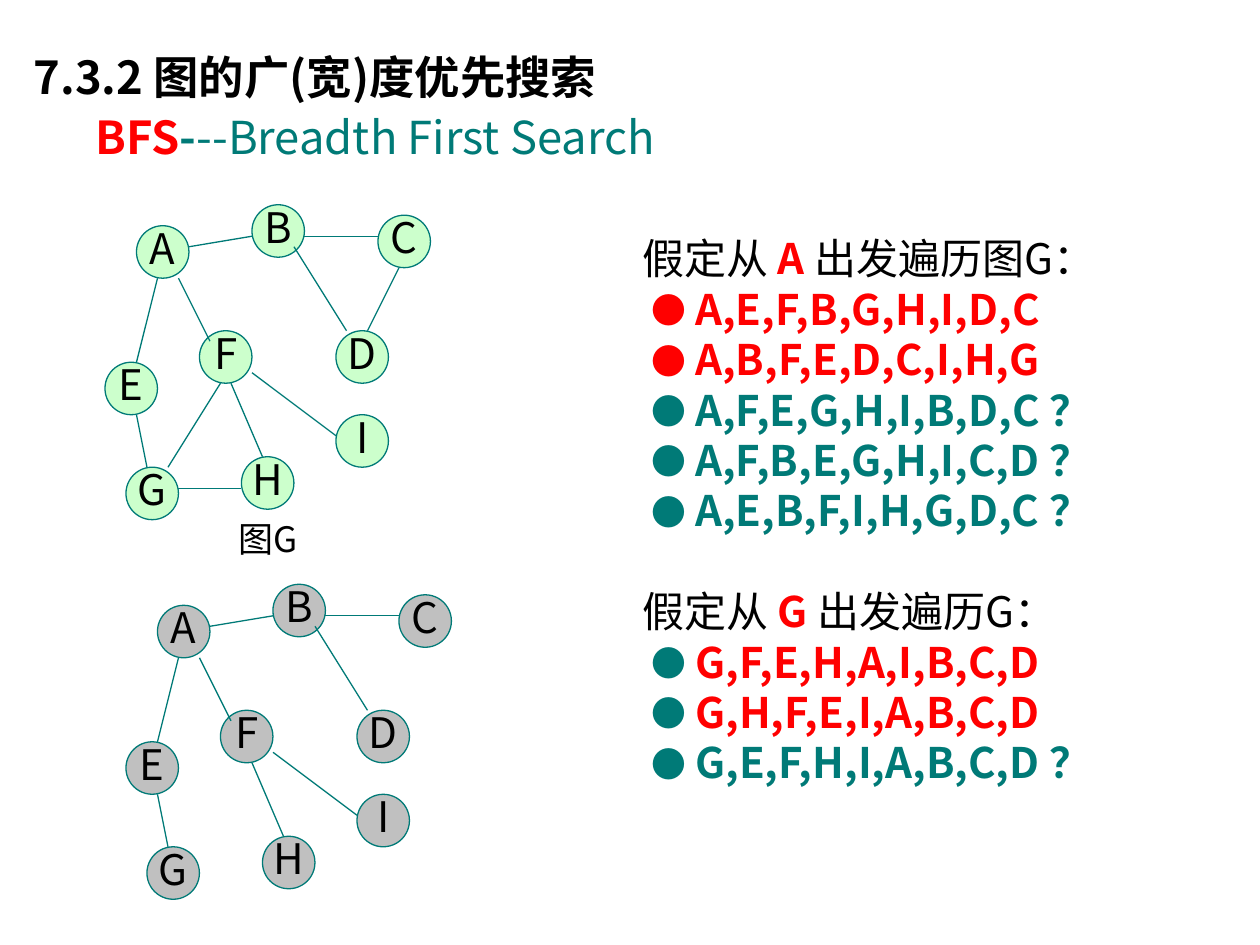
from lxml import etree
from pptx import Presentation
from pptx import util as u
from pptx.dml.color import RGBColor
from pptx.enum import shapes, text
from pptx.oxml.ns import qn

FONT = "Noto Sans CJK SC"
BLACK, RED, TEAL = "000000", "FF0000", "007A77"
GREEN, GREY = "CCFFCC", "C0C0C0"
WIDE, HIGH = u.Inches(10), u.Inches(7.5)
UNIT = WIDE / 120  # one grid step of both graphs
SIZE = 5           # node diameter in grid steps

# Column and row of each node's top left corner
NODES = {"A": (3, 2), "B": (14, 0), "C": (26, 1), "D": (22, 12), "E": (0, 15),
         "F": (9, 12), "G": (2, 25), "H": (13, 24), "I": (22, 20)}
TREE = [(26, 3, 19, 3), (23, 12, 18, 4), (7, 7, 10, 13), (8, 4, 14, 3),
        (15, 24, 12, 17), (5, 7, 3, 15), (3, 20, 4, 25), (14, 16, 22, 22)]
CROSS = [(25, 12, 28, 6), (7, 27, 13, 27), (6, 25, 11, 17)]

# Each order: wording, text colour, bullet colour
FROM_A = [("A,E,F,B,G,H,I,D,C", RED, RED), ("A,B,F,E,D,C,I,H,G", RED, RED),
          ("A,F,E,G,H,I,B,D,C ？", TEAL, TEAL),
          ("A,F,B,E,G,H,I,C,D ？", TEAL, TEAL),
          ("A,E,B,F,I,H,G,D,C ？", TEAL, TEAL)]
FROM_G = [("G,F,E,H,A,I,B,C,D", RED, TEAL), ("G,H,F,E,I,A,B,C,D", RED, TEAL),
          ("G,E,F,H,I,A,B,C,D ？", TEAL, TEAL)]


def rgb(code):
    return RGBColor.from_string(code)


def write(para, parts, size):
    """Add runs given as (wording, colour, bold)."""
    for words, tint, bold in parts:
        run = para.add_run()
        run.text = words
        font = run.font
        font.size, font.bold, font.name = u.Pt(size), bold, FONT
        font.color.rgb = rgb(tint)
        east = etree.SubElement(font._element, qn("a:ea"))
        east.set("typeface", FONT)


def bullet(para, tint):
    """Give the paragraph a round bullet with a hanging indent."""
    props = para._p.get_or_add_pPr()
    props.set("marL", str(u.Inches(0.42)))
    props.set("indent", str(u.Inches(-0.35)))
    fill = etree.SubElement(props, qn("a:buClr"))
    etree.SubElement(fill, qn("a:srgbClr")).set("val", tint)
    for tag, key, val in (("buSzPct", "val", "83000"),
                          ("buFont", "typeface", FONT), ("buChar", "char", "●")):
        etree.SubElement(props, qn("a:" + tag)).set(key, val)


def heading(shape, left, top, width, height):
    shape.left, shape.top, shape.width, shape.height = map(
        int, (left, top, width, height))
    frame = shape.text_frame
    frame.auto_size = text.MSO_AUTO_SIZE.NONE
    frame.vertical_anchor = text.MSO_ANCHOR.TOP
    main, sub = frame.paragraphs[0], frame.add_paragraph()
    write(main, [("7.3.2 图的广(宽)度优先搜索", BLACK, True)], 25.9)
    write(sub, [("BFS", RED, True), ("-", TEAL, True),
                ("--Breadth First Search", TEAL, False)], 25.9)
    sub._p.get_or_add_pPr().set("marL", str(u.Inches(0.49)))
    for para in (main, sub):
        para.alignment = text.PP_ALIGN.LEFT
        para.line_spacing = 1.1
        para.space_before = u.Pt(0)


def graph(slide, left, top, fill, edges):
    def spot(col, row):
        return int(left + col * UNIT), int(top + row * UNIT)

    side = int(SIZE * UNIT)
    for name, cell in NODES.items():
        node = slide.shapes.add_shape(shapes.MSO_SHAPE.OVAL, *spot(*cell), side, side)
        node.shadow.inherit = False
        node.fill.solid()
        node.fill.fore_color.rgb = rgb(fill)
        node.line.color.rgb = rgb(TEAL)
        node.line.width = u.Pt(0.75)
        frame = node.text_frame
        frame.word_wrap = False
        frame.vertical_anchor = text.MSO_ANCHOR.MIDDLE
        para = frame.paragraphs[0]
        para.alignment = text.PP_ALIGN.CENTER
        para.line_spacing = 0.8
        write(para, [(name, BLACK, False)], 24)
    for x1, y1, x2, y2 in edges:
        edge = slide.shapes.add_connector(
            shapes.MSO_CONNECTOR.STRAIGHT, *spot(x1, y1), *spot(x2, y2))
        edge.line.color.rgb = rgb(TEAL)
        edge.line.width = u.Pt(0.75)
        etree.SubElement(edge._element.spPr, qn("a:effectLst"))


def label(slide, left, top, width, height):
    box = slide.shapes.add_textbox(*map(int, (left, top, width, height)))
    box.text_frame.word_wrap = False
    write(box.text_frame.paragraphs[0], [("图G", BLACK, False)], 20)


def orders(slide, left, top, width, height):
    """List the visiting orders for each start node."""
    box = slide.shapes.add_textbox(*map(int, (left, top, width, height)))
    frame = box.text_frame
    frame.word_wrap = True
    first, second = "出发遍历图G：", "出发遍历G："
    for start, tail, rows in (("A ", first, FROM_A), ("G ", second, FROM_G)):
        if rows is FROM_A:
            para = frame.paragraphs[0]
        else:
            para = frame.add_paragraph()
            para.space_before = u.Pt(28.8)
        write(para, [("假定从 ", BLACK, False), (start, RED, True),
                     (tail, BLACK, False)], 24)
        for words, tint, dot in rows:
            para = frame.add_paragraph()
            bullet(para, dot)
            write(para, [(words, tint, True)], 24)


def main():
    deck = Presentation()
    deck.slide_width, deck.slide_height = WIDE, HIGH
    slide = deck.slides.add_slide(deck.slide_layouts[5])
    heading(slide.shapes.title, WIDE / 60, HIGH * 0.04, WIDE * 0.91, HIGH * 0.14)
    graph(slide, 10 * UNIT, 19.5 * UNIT, GREEN, TREE + CROSS)
    label(slide, 21.5 * UNIT, 48.7 * UNIT, 9 * UNIT, 5.3 * UNIT)
    graph(slide, 12 * UNIT, 55.65 * UNIT, GREY, TREE)
    orders(slide, WIDE / 2, HIGH * 0.24, WIDE * 0.49, HIGH * 0.6)
    deck.save("out.pptx")


if __name__ == "__main__":
    main()
